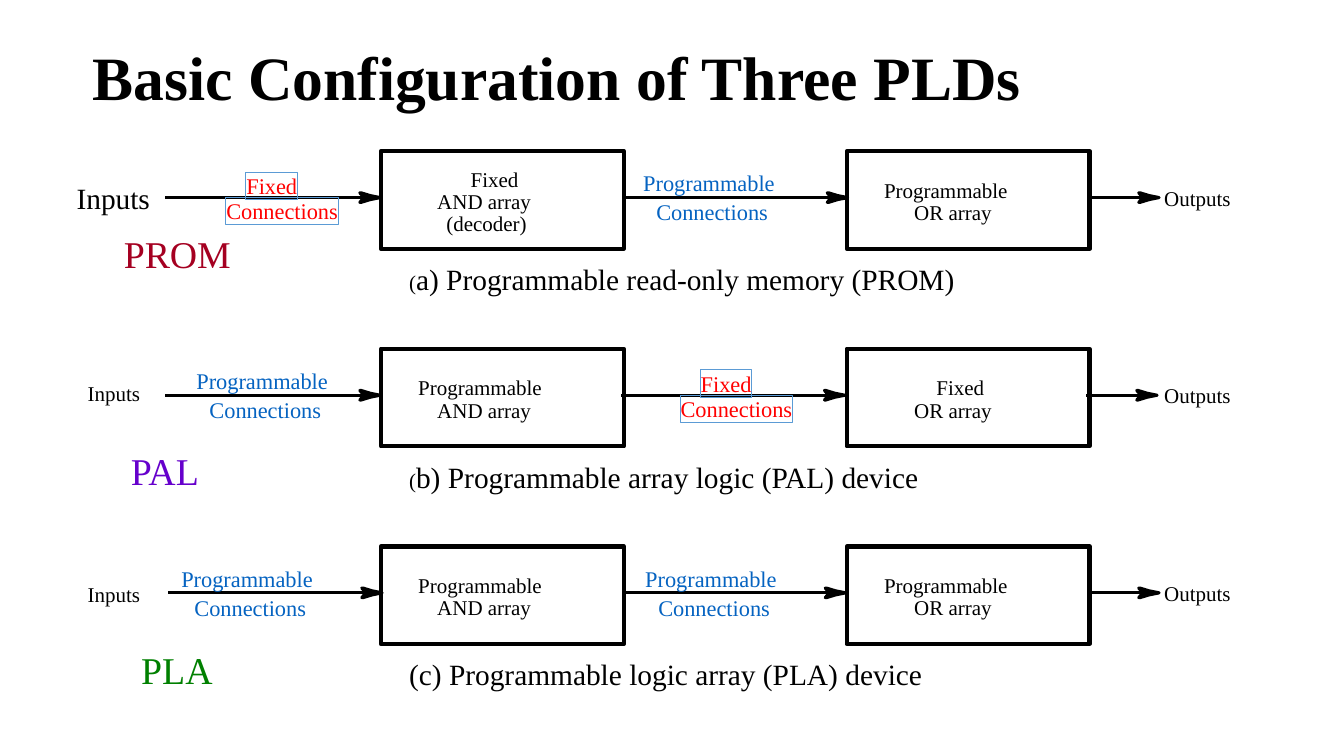
from lxml import etree
from pptx import Presentation
from pptx.dml.color import RGBColor
from pptx.enum.shapes import MSO_CONNECTOR, MSO_SHAPE
from pptx.enum.text import MSO_ANCHOR, MSO_AUTO_SIZE, PP_ALIGN
from pptx.util import Cm, Pt

RECT = MSO_SHAPE.RECTANGLE
STRAIGHT = MSO_CONNECTOR.STRAIGHT
LEFT, CENTER = PP_ALIGN.LEFT, PP_ALIGN.CENTER
TOP, MIDDLE = MSO_ANCHOR.TOP, MSO_ANCHOR.MIDDLE
GROW, NO_FIT = MSO_AUTO_SIZE.SHAPE_TO_FIT_TEXT, MSO_AUTO_SIZE.NONE
A_NS = "http://schemas.openxmlformats.org/drawingml/2006/main"

BLACK, RED, BLUE, FRAME = "000000", "FF0000", "0563C1", "5B9BD5"
ROW_TOP, ROW_PITCH = 3.81, 4.98
AND_X, OR_X, BOX_W, BOX_H = 9.6, 21.34, 6.12, 2.46
WIRE_DY = 1.17
ARRAY_WORDS = {
    "Fixed": (2.26, 1.22),
    "AND array": (1.42, 2.39),
    "(decoder)": (1.65, 2.03),
    "Programmable": (0.94, 3.15),
    "OR array": (1.7, 1.98),
}
HEAD = [(-0.51, -0.12), (-0.48, -0.12), (-0.25, -0.05), (0, 0),
        (-0.25, 0.05), (-0.48, 0.12), (-0.51, 0.12)]

ROWS = [
    dict(name=("PROM", "A50021", 2.79, 1.83, 3.38),
         caption=[("(", 15), ("a) Programmable read-only memory (PROM)", 21)],
         caption_w=14.15, inputs=(1.93, 0.74, 1.9, 21),
         and_words=["Fixed", "AND array", "(decoder)"],
         or_words=["Programmable", "OR array"],
         wires=[(4.17, 9.58), (15.72, 21.36), (27.46, 29.21)],
         links=[("Fixed", 6.2), ("Programmable", 16.21)]),
    dict(name=("PAL", "6600CC", 2.97, 2.31, 2.49),
         caption=[("(", 15), ("b) Programmable array logic (PAL) device", 21)],
         caption_w=13.26, inputs=(2.21, 0.81, 1.35, 15),
         and_words=["Programmable", "AND array"],
         or_words=["Fixed", "OR array"],
         wires=[(4.17, 9.58), (15.65, 21.29), (27.38, 29.16)],
         links=[("Programmable", 4.95), ("Fixed", 17.65)]),
    dict(name=("PLA", "008000", 3.23, 2.34, 2.49),
         caption=[("(c) Programmable logic array (PLA) device", 21)],
         caption_w=13.31, inputs=(2.21, 0.89, 1.35, 15),
         and_words=["Programmable", "AND array"],
         or_words=["Programmable", "OR array"],
         wires=[(4.24, 9.63), (15.77, 21.31), (27.46, 29.21)],
         links=[("Programmable", 4.57), ("Programmable", 16.26)]),
]


def rgb(hex_color):
    return RGBColor.from_string(hex_color)


def add_run(p, text, size=15, color=BLACK, bold=False, font="Times New Roman"):
    r = p.add_run()
    r.text = text
    r.font.name = font
    r.font.size = Pt(size)
    r.font.bold = bold
    r.font.color.rgb = rgb(color)


class Deck:
    def __init__(self):
        self.prs = Presentation()
        self.prs.slide_width, self.prs.slide_height = Cm(33.87), Cm(19.05)
        self.s = self.prs.slides.add_slide(self.prs.slide_layouts[5])

    def title(self, text, x, y, w, h):
        sp = self.s.shapes.title
        sp.left, sp.top, sp.width, sp.height = Cm(x), Cm(y), Cm(w), Cm(h)
        tf = sp.text_frame
        tf.vertical_anchor, tf.auto_size = MIDDLE, NO_FIT
        p = tf.paragraphs[0]
        p.alignment, p.line_spacing = LEFT, 0.9
        add_run(p, text, size=44, bold=True)

    def text(self, runs, x, y, w, h, color=BLACK, inset=(0, 0), frame=None):
        if frame:
            sp = self.rect(x, y, w, h, color=frame, weight=0.75)
        else:
            sp = self.s.shapes.add_textbox(Cm(x), Cm(y), Cm(w), Cm(h))
        tf = sp.text_frame
        tf.margin_left = tf.margin_right = Cm(inset[0])
        tf.margin_top = tf.margin_bottom = Cm(inset[1])
        tf.word_wrap, tf.auto_size, tf.vertical_anchor = False, GROW, TOP
        p = tf.paragraphs[0]
        p.alignment = CENTER if frame else LEFT
        for text, size in runs:
            add_run(p, text, size=size, color=color)

    def rect(self, x, y, w, h, color=BLACK, weight=3):
        sp = self.s.shapes.add_shape(RECT, Cm(x), Cm(y), Cm(w), Cm(h))
        sp.shadow.inherit = False
        sp.fill.background()
        sp.line.color.rgb = rgb(color)
        sp.line.width = Pt(weight)
        return sp

    def arrow(self, x, tip, y):
        line = self.s.shapes.add_connector(STRAIGHT, Cm(x), Cm(y), Cm(tip - 0.36), Cm(y))
        etree.SubElement(line._element.spPr, f"{{{A_NS}}}effectLst")
        fb = self.s.shapes.build_freeform(Cm(tip - 0.41), Cm(y))
        fb.add_line_segments([(Cm(tip + dx), Cm(y + dy)) for dx, dy in HEAD])
        head = fb.convert_to_shape()
        head.shadow.inherit = False
        head.fill.solid()
        head.fill.fore_color.rgb = rgb(BLACK)
        for part in (line, head):
            part.line.color.rgb = rgb(BLACK)
            part.line.width = Pt(2.25)

    def array_box(self, words, x, y):
        self.rect(x, y, BOX_W, BOX_H)
        first = 0.66 - 0.28 * (len(words) - 2)
        for i, word in enumerate(words):
            dx, w = ARRAY_WORDS[word]
            self.text([(word, 15)], x + dx, y + first + 0.56 * i, w, 0.64)

    def link(self, kind, x, y):
        if kind == "Fixed":
            w, dy, dx, gap, color, frame = 1.3, 0.53, -0.51, 0.64, RED, FRAME
        else:
            w, dy, dx, gap, color, frame = 3.38, 0.46, 0.33, 0.73, BLUE, None
        self.text([(kind, 16)], x, y + dy, w, 0.69, color=color, frame=frame)
        self.text([("Connections", 16)], x + dx, y + dy + gap, 2.84, 0.69,
                  color=color, frame=frame)

    def device(self, row, y):
        self.array_box(row["and_words"], AND_X, y)
        self.array_box(row["or_words"], OR_X, y)
        for x, tip in row["wires"]:
            self.arrow(x, tip, y + WIRE_DY)
        for kind, x in row["links"]:
            self.link(kind, x, y)
        x, dy, w, size = row["inputs"]
        self.text([("Inputs", size)], x, y + dy, w, size * 0.043)
        self.text([("Outputs", 15)], 29.34, y + 0.86, 1.7, 0.64)
        self.text(row["caption"], 10.31, y + 2.77, row["caption_w"], 0.91)
        name, color, x, dy, w = row["name"]
        self.text([(name, 27)], x, y + dy, w, 1.47, color=color, inset=(0.33, 0.18))


def main():
    deck = Deck()
    deck.title("Basic Configuration of Three PLDs", 2.08, 0.94, 31.22, 2.16)
    for i, row in enumerate(ROWS):
        deck.device(row, ROW_TOP + i * ROW_PITCH)
    deck.prs.save("out.pptx")


if __name__ == "__main__":
    main()
